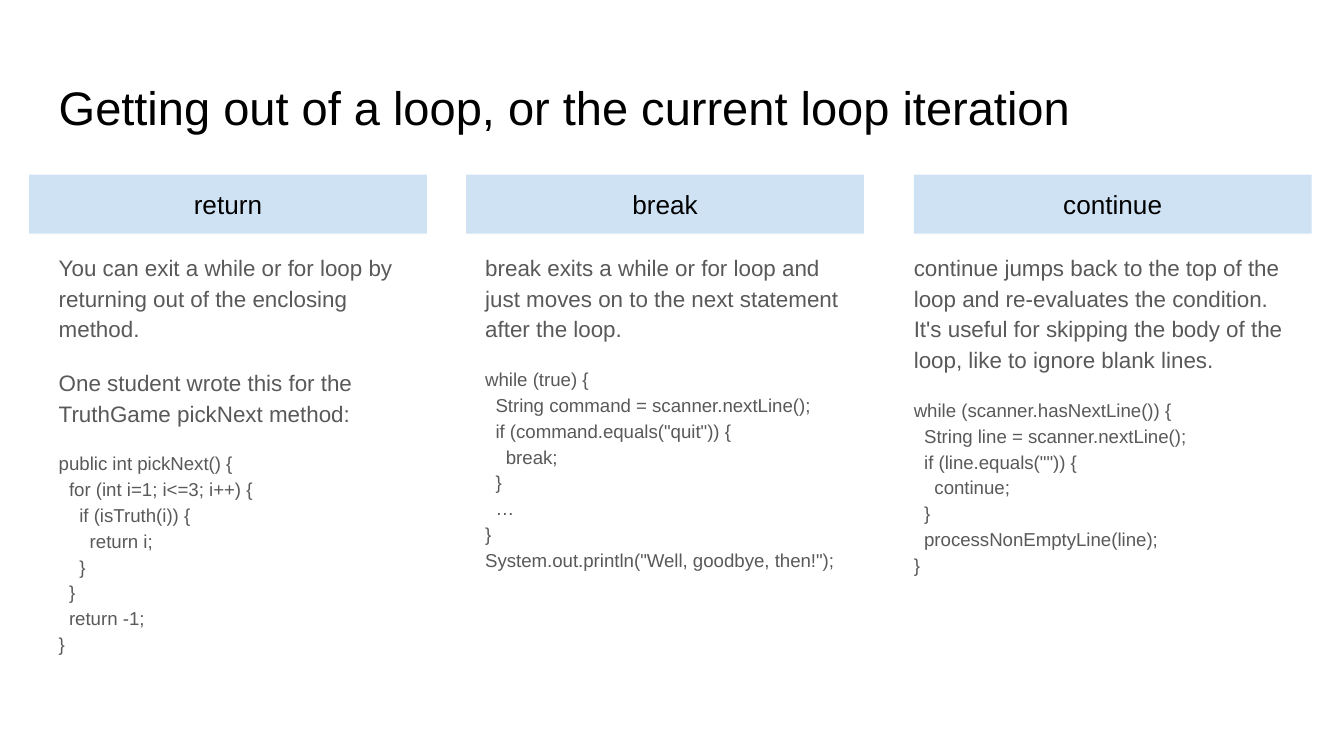
import pptx
import pptx.util
import pptx.dml.color
import pptx.enum.shapes
import pptx.enum.text
import lxml.etree

Cm = pptx.util.Cm
Pt = pptx.util.Pt
Align = pptx.enum.text.PP_ALIGN
Anchor = pptx.enum.text.MSO_ANCHOR

HUES = {"black": "000000", "gray": "595959", "blue": "CFE2F3"}
FONT = "Arial"
TITLE = "Getting out of a loop, or the current loop iteration"

# Lefts and widths are in centimetres.
COLS = [
    {
        "head": "return", "head_left": 0.55, "left": 0.86, "width": 7.29,
        "prose": [
            "You can exit a while or for loop by returning out of the enclosing method.",
            "One student wrote this for the TruthGame pickNext method:",
        ],
        "code": [
            "public int pickNext() {",
            "  for (int i=1; i<=3; i++) {",
            "    if (isTruth(i)) {",
            "      return i;",
            "    }",
            "  }",
            "  return -1;",
            "}",
        ],
    },
    {
        "head": "break", "head_left": 8.81, "left": 8.92, "width": 7.29,
        "prose": [
            "break exits a while or for loop and just moves on to the next "
            "statement after the loop.",
        ],
        "code": [
            "while (true) {",
            "  String command = scanner.nextLine();",
            '  if (command.equals("quit")) {',
            "    break;",
            "  }",
            "  …",
            "}",
            'System.out.println("Well, goodbye, then!");',
        ],
    },
    {
        "head": "continue", "head_left": 17.27, "left": 17.02, "width": 7.52,
        "prose": [
            "continue jumps back to the top of the loop and re-evaluates the "
            "condition. It's useful for skipping the body of the loop, like to "
            "ignore blank lines.",
        ],
        "code": [
            "while (scanner.hasNextLine()) {",
            "  String line = scanner.nextLine();",
            '  if (line.equals("")) {',
            "    continue;",
            "  }",
            "  processNonEmptyLine(line);",
            "}",
        ],
    },
]


def color(name):
    return pptx.dml.color.RGBColor.from_string(HUES[name])


def place(shape, left, top, width, height):
    shape.left, shape.top = Cm(left), Cm(top)
    shape.width, shape.height = Cm(width), Cm(height)


def set_frame(frame, anchor):
    frame.word_wrap = True
    frame.auto_size = pptx.enum.text.MSO_AUTO_SIZE.NONE
    frame.vertical_anchor = anchor
    frame.margin_left = frame.margin_right = Cm(0.25)
    frame.margin_top = frame.margin_bottom = Cm(0.25)


def write(para, lines, size, hue, align=Align.LEFT):
    """Add the lines as runs with line breaks between them."""
    para.alignment = align
    for i, line in enumerate(lines):
        if i:
            para.add_line_break()
        run = para.add_run()
        run.text = line
        run.font.name = FONT
        run.font.size = Pt(size)
        run.font.bold = False
        run.font.color.rgb = color(hue)


def clear_bullet(para):
    props = para._p.get_or_add_pPr()
    props.set("marL", "0")
    props.set("indent", "0")
    lxml.etree.SubElement(props, pptx.oxml.ns.qn("a:buNone"))


def fill_body(body, col):
    place(body, col["left"], 4.47, col["width"], 9.5)
    frame = body.text_frame
    set_frame(frame, Anchor.TOP)
    blocks = [([text], 12) for text in col["prose"]] + [(col["code"], 10)]
    for i, (lines, size) in enumerate(blocks):
        para = frame.add_paragraph() if i else frame.paragraphs[0]
        clear_bullet(para)
        para.line_spacing = 1.15
        para.space_before = Pt(12 if i else 0)
        write(para, lines, size, "gray")


def add_head(slide, col):
    bar = slide.shapes.add_shape(
        pptx.enum.shapes.MSO_SHAPE.RECTANGLE,
        Cm(col["head_left"]), Cm(3.3), Cm(7.52), Cm(1.12))
    bar.shadow.inherit = False
    bar.fill.solid()
    bar.fill.fore_color.rgb = color("blue")
    bar.line.fill.background()
    set_frame(bar.text_frame, Anchor.MIDDLE)
    write(bar.text_frame.paragraphs[0], [col["head"]], 14, "black", Align.CENTER)


def main():
    deck = pptx.Presentation()
    deck.slide_width, deck.slide_height = Cm(25.4), Cm(14.29)
    slide = deck.slides.add_slide(deck.slide_layouts.get_by_name("Comparison"))

    title = slide.shapes.title
    place(title, 0.86, 1.24, 23.67, 1.6)
    set_frame(title.text_frame, Anchor.TOP)
    write(title.text_frame.paragraphs[0], [TITLE], 25.2, "black")

    bodies = [p for p in slide.placeholders if p.placeholder_format.idx > 0]
    for body, col in zip(bodies, COLS):
        fill_body(body, col)
    for spare in bodies[len(COLS):]:
        spare._element.getparent().remove(spare._element)
    for col in COLS:
        add_head(slide, col)

    deck.save("out.pptx")


if __name__ == "__main__":
    main()
